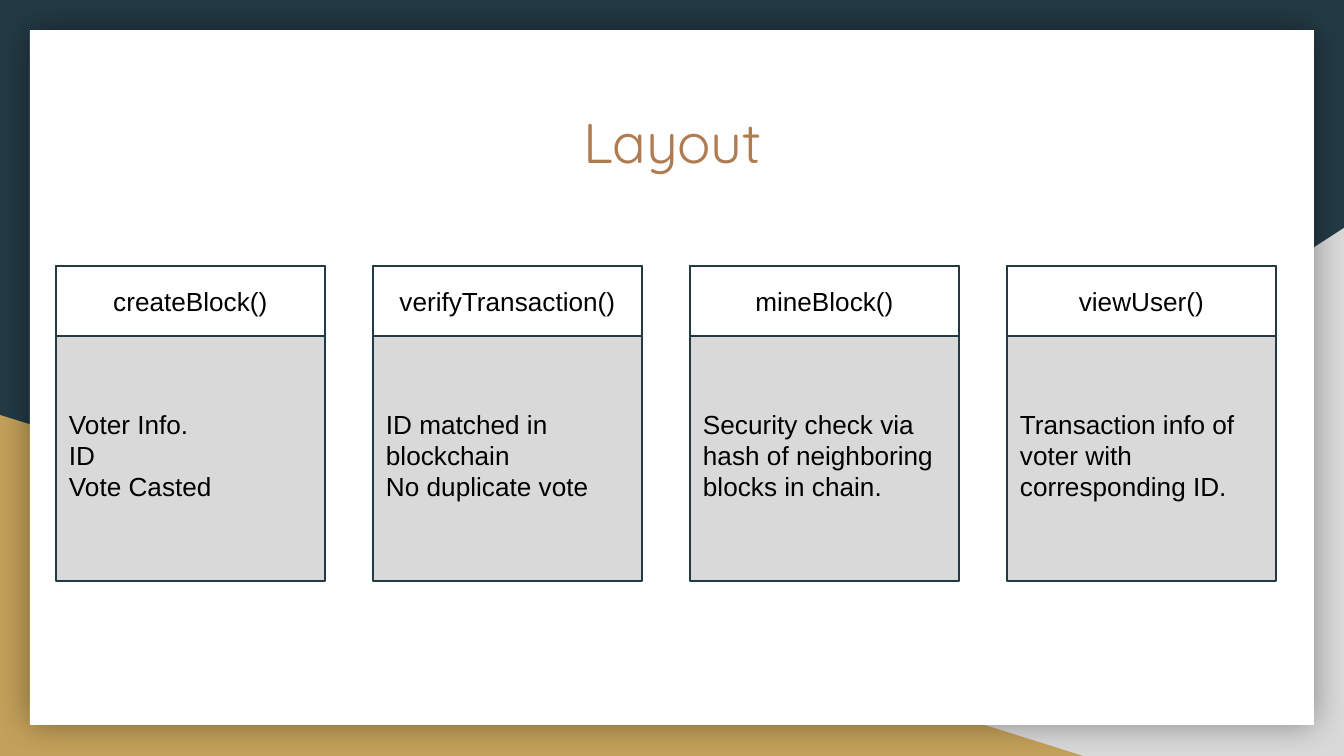
"""Build the Layout slide: four function cards on a framed white panel."""
import pptx
import pptx.dml.color
import pptx.enum.shapes
import pptx.enum.text
import pptx.oxml
import pptx.oxml.ns
import pptx.util

PX = 914400 / 134.4
NAVY, GOLD, GREY, WHITE = "233A44", "C4A15A", "D9D9D9", "FFFFFF"
SHAPES = pptx.enum.shapes.MSO_SHAPE
ALIGN = pptx.enum.text.PP_ALIGN
ANCHOR = pptx.enum.text.MSO_ANCHOR


def color(value):
    return pptx.dml.color.RGBColor.from_string(value)


def add_box(kind, bounds, fill, line=None, lines=(), align=ALIGN.LEFT, top_inset=13):
    shape = slide.shapes.add_shape(kind, *[round(value * PX) for value in bounds])
    shape.shadow.inherit = False
    shape.fill.solid()
    shape.fill.fore_color.rgb = color(fill)
    if line:
        shape.line.color.rgb = color(line)
        shape.line.width = pptx.util.Pt(0.75)
    else:
        shape.line.fill.background()
    frame = shape.text_frame
    frame.word_wrap = True
    frame.vertical_anchor = ANCHOR.MIDDLE
    frame.margin_left = frame.margin_right = frame.margin_bottom = round(13 * PX)
    frame.margin_top = round(top_inset * PX)
    for index, text in enumerate(lines):
        paragraph = frame.add_paragraph() if index else frame.paragraphs[0]
        paragraph.alignment = align
        run = paragraph.add_run()
        run.text = text
        run.font.name = "Arial"
        run.font.size = pptx.util.Pt(14)
        run.font.color.rgb = color("000000")
    return shape


presentation = pptx.Presentation()
presentation.slide_width = round(1344 * PX)
presentation.slide_height = round(756 * PX)
slide = presentation.slides.add_slide(presentation.slide_layouts[5])
slide.background.fill.solid()
slide.background.fill.fore_color.rgb = color(NAVY)

grey_corner = add_box(SHAPES.RIGHT_TRIANGLE, (527, 228, 817, 528), GREY)
grey_corner.element.spPr.xfrm.set("flipH", "1")
add_box(SHAPES.RIGHT_TRIANGLE, (0, 415, 1083, 341), GOLD)
panel = add_box(SHAPES.RECTANGLE, (30, 30, 1284, 695), WHITE)
effects = panel.element.spPr.find(pptx.oxml.ns.qn("a:effectLst"))
effects.append(pptx.oxml.parse_xml(
    f'<a:outerShdw {pptx.oxml.ns.nsdecls("a")} blurRad="{pptx.util.Pt(18)}" dist="0" dir="0" '
    'algn="ctr" rotWithShape="0"><a:srgbClr val="000000"><a:alpha val="40000"/></a:srgbClr></a:outerShdw>'))

title = slide.shapes.title
panel.element.addnext(title.element)
title.left, title.top, title.width, title.height = [round(value * PX) for value in (121, 95, 1103, 140)]
frame = title.text_frame
frame.auto_size = pptx.enum.text.MSO_AUTO_SIZE.NONE
frame.word_wrap = True
frame.vertical_anchor = ANCHOR.TOP
frame.margin_left = frame.margin_right = frame.margin_top = frame.margin_bottom = round(13 * PX)
paragraph = frame.paragraphs[0]
paragraph.alignment = ALIGN.CENTER
run = paragraph.add_run()
run.text = "Layout"
run.font.name = "Quicksand"
run.font.size = pptx.util.Pt(30)
run.font.color.rgb = color("AF7B51")

cards = [
    ("createBlock()", ["Voter Info.", "ID", "Vote Casted"]),
    ("verifyTransaction()", ["ID matched in blockchain", "No duplicate vote"]),
    ("mineBlock()", ["Security check via hash of neighboring blocks in chain."]),
    ("viewUser()", ["Transaction info of voter with corresponding ID."]),
]
for index, (heading, details) in enumerate(cards):
    left = 56 + 317 * index
    add_box(SHAPES.RECTANGLE, (left, 266, 269, 315), GREY, NAVY, details, top_inset=76)
    add_box(SHAPES.FLOWCHART_PROCESS, (left, 266, 269, 70), WHITE, NAVY, [heading], ALIGN.CENTER)

presentation.save("out.pptx")
